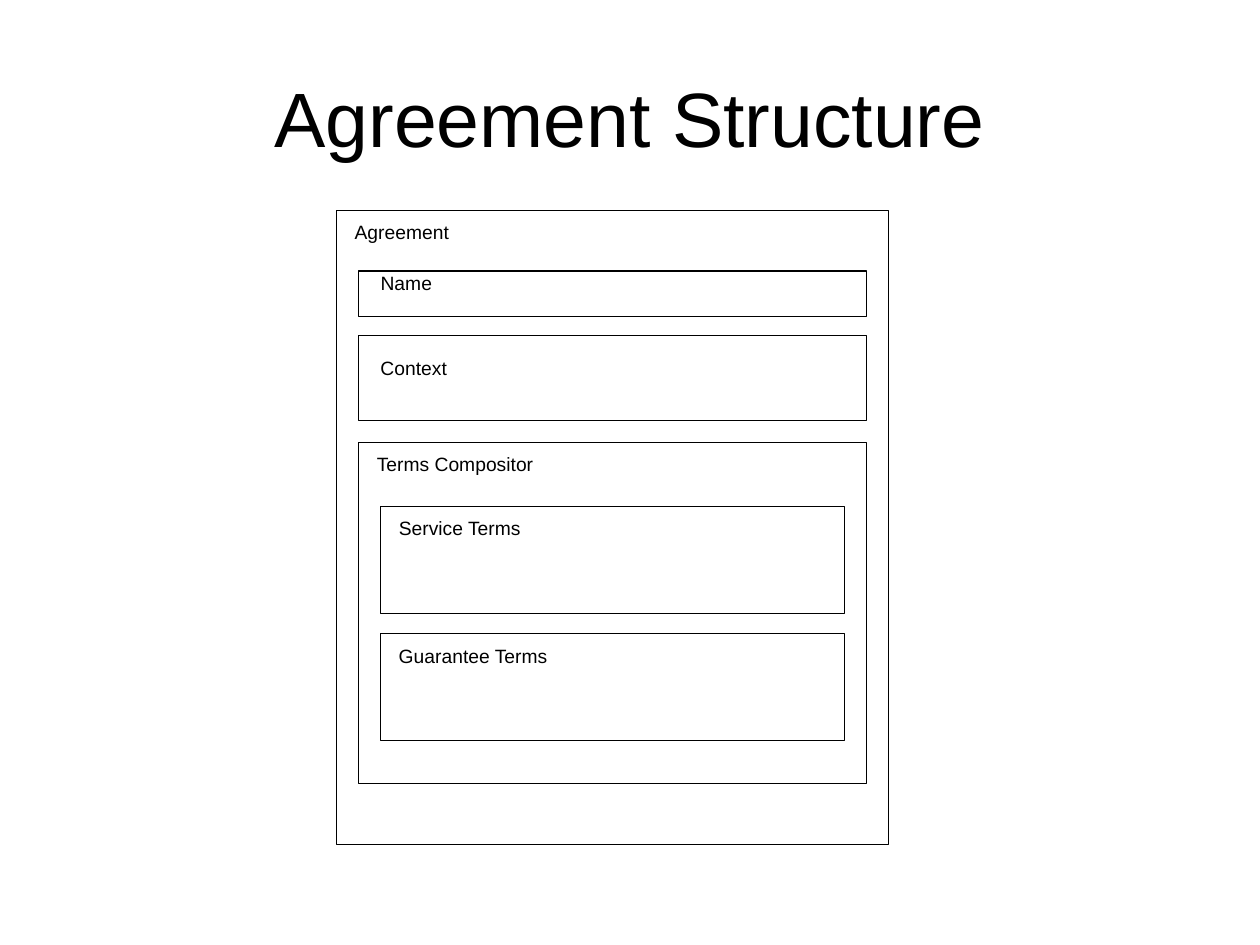
from collections import namedtuple

from pptx import Presentation
from pptx.dml.color import RGBColor
from pptx.enum.shapes import MSO_SHAPE as Shape
from pptx.enum.text import MSO_ANCHOR as Anchor, MSO_AUTO_SIZE as AutoSize, PP_ALIGN as Align
from pptx.util import Inches, Pt

COLORS = {"ink": "000000", "paper": "FFFFFF"}
WIDTH, HEIGHT = Inches(10), Inches(7.5)
OUTER_LEFT, OUTER_WIDTH, INSET = 26.7, 43.8, 1.75

Section = namedtuple("Section", "name level top height label_x label_y label_width label_height wrap grow")
SECTIONS = [
    Section("Agreement", 0, 22.27, 67.07, 1.45, 1.07, 28.3, 2.4, True, True),
    Section("Terms Compositor", 1, 46.8, 36.13, 1.45, 1.07, 19.5, 3.33, True, False),
    Section("Service Terms", 2, 53.6, 11.33, 1.45, 1.07, 9.9, 2.4, False, True),
    Section("Guarantee Terms", 2, 67.07, 11.33, 1.45, 1.07, 12, 2.4, False, True),
    Section("Context", 1, 35.47, 9.07, 1.75, 2.27, 8.4, 4.53, False, False),
    Section("Name", 1, 28.67, 4.8, 1.75, 0, 6.2, 4.53, False, False),
]


def color(name):
    """Return a palette colour."""
    return RGBColor.from_string(COLORS[name])


def place(left, top, width, height):
    """Turn percentages of the slide into lengths."""
    return (
        int(WIDTH * left / 100),
        int(HEIGHT * top / 100),
        int(WIDTH * width / 100),
        int(HEIGHT * height / 100),
    )


def apply(target, values):
    """Set each attribute of the target from a dict."""
    for name, value in values.items():
        setattr(target, name, value)


def write(frame, text, size, align):
    """Write one formatted paragraph into a text frame."""
    paragraph = frame.paragraphs[0]
    paragraph.alignment = align
    run = paragraph.add_run()
    run.text = text
    apply(run.font, {"name": "Arial", "size": Pt(size)})
    run.font.color.rgb = color("ink")


def add_title(slide, text):
    """Fill and move the title placeholder."""
    title = slide.shapes.title
    bounds = place(5, 4, 90, 16.67)
    apply(title, dict(zip(("left", "top", "width", "height"), bounds)))
    title.text_frame.vertical_anchor = Anchor.MIDDLE
    write(title.text_frame, text, 44, Align.CENTER)


def add_box(group, section, left):
    """Draw the outlined rectangle of a section."""
    width = OUTER_WIDTH - 2 * INSET * section.level
    box = group.shapes.add_shape(Shape.RECTANGLE, *place(left, section.top, width, section.height))
    box.shadow.inherit = False
    if section.level:
        box.fill.solid()
        box.fill.fore_color.rgb = color("paper")
    else:
        box.fill.background()
    box.line.color.rgb = color("ink")
    box.line.width = Pt(0.71)


def add_label(group, section, left):
    """Write the name of a section inside its box."""
    label = group.shapes.add_textbox(*place(
        left + section.label_x,
        section.top + section.label_y,
        section.label_width,
        section.label_height,
    ))
    apply(label.text_frame, {
        "margin_left": 0,
        "margin_top": 0,
        "margin_right": 0,
        "margin_bottom": 0,
        "word_wrap": section.wrap,
        "auto_size": AutoSize.SHAPE_TO_FIT_TEXT if section.grow else AutoSize.NONE,
    })
    write(label.text_frame, section.name, 11, Align.LEFT)


def main():
    """Build the slide and save it."""
    presentation = Presentation()
    apply(presentation, {"slide_width": WIDTH, "slide_height": HEIGHT})
    slide = presentation.slides.add_slide(presentation.slide_layouts.get_by_name("Title Only"))
    slide.background.fill.solid()
    slide.background.fill.fore_color.rgb = color("paper")
    add_title(slide, "Agreement Structure")
    group = slide.shapes.add_group_shape()
    for section in SECTIONS:
        left = OUTER_LEFT + INSET * section.level
        add_box(group, section, left)
        add_label(group, section, left)
    presentation.save("out.pptx")


if __name__ == "__main__":
    main()
